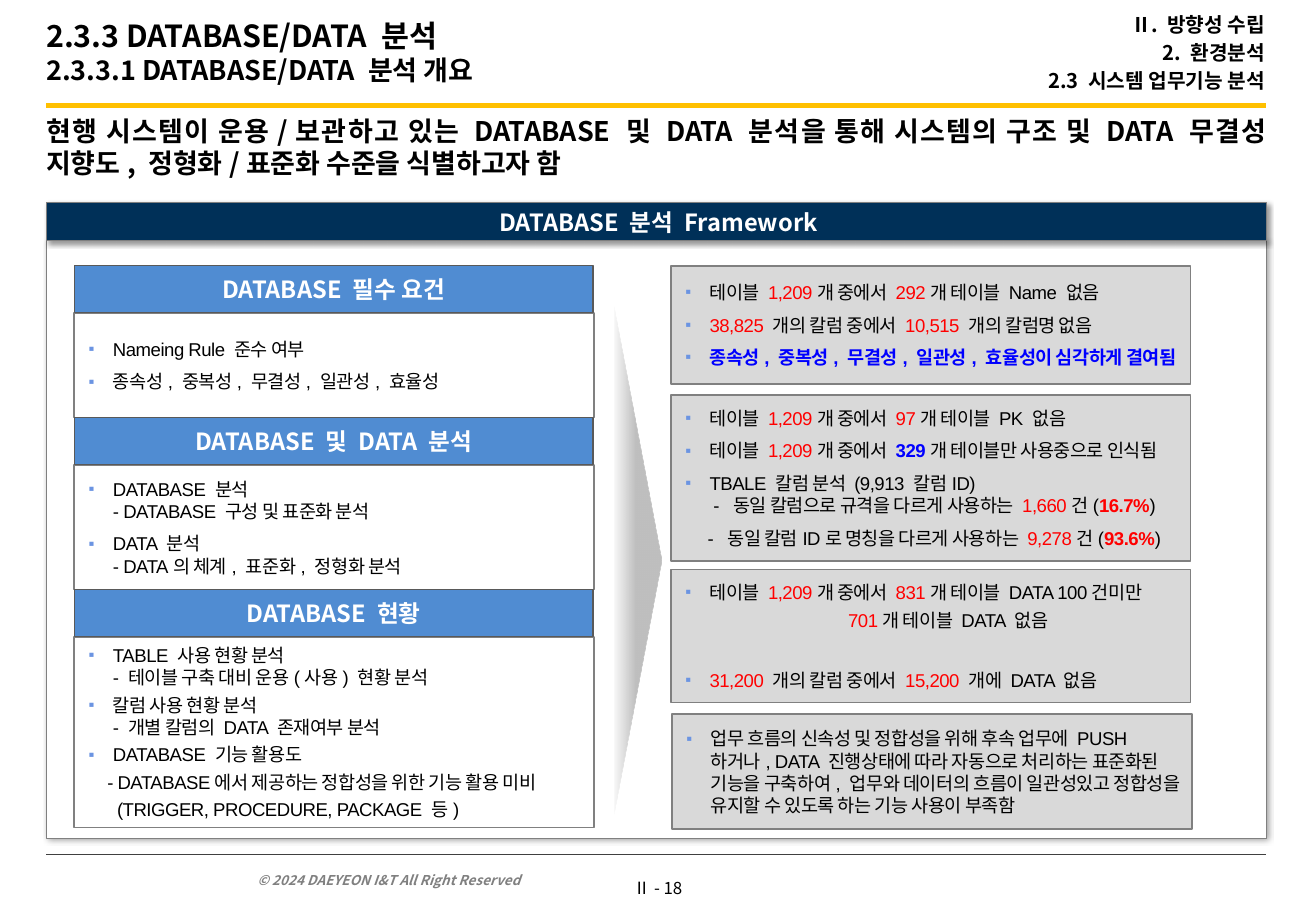
from dataclasses import dataclass
from typing import NamedTuple

from lxml.etree import SubElement
from pptx import Presentation
from pptx.dml.color import RGBColor as RGB
from pptx.enum.shapes import MSO_CONNECTOR as Conn, MSO_SHAPE as Shape
from pptx.enum.text import MSO_ANCHOR as Anchor, PP_ALIGN as Align
from pptx.oxml import parse_xml
from pptx.oxml.ns import nsdecls, qn
from pptx.util import Pt


@dataclass(frozen=True)
class Theme:
    black: str = "000000"
    white: str = "FFFFFF"
    navy: str = "003058"
    blue: str = "508CD2"
    bullet: str = "6B94E2"
    panel: str = "D9D9D9"
    arrow: str = "BFBFBF"
    gray: str = "808080"
    dark: str = "595959"
    rule: str = "FFC000"
    foot_rule: str = "404040"
    red: str = "FF0000"
    strong: str = "0000FF"
    korean: str = "Noto Sans CJK KR"
    latin: str = "Arial"
    title: float = 18
    lead: float = 16
    heading: float = 14
    crumb: float = 12
    body: float = 11
    page: float = 10
    legal: float = 8
    leading: float = 1.2


T = Theme()


class Box(NamedTuple):
    x: float
    y: float
    w: float
    h: float


class Span(NamedTuple):
    text: str
    color: str = T.black
    bold: bool = False
    size: float = T.body
    font: str = T.latin
    italic: bool = False
    spacing: int = -30


class Para(NamedTuple):
    spans: list[Span]
    before: float = 0
    bullet: bool = False
    left: float = 0
    first: float = 0
    align: Align = Align.LEFT


class Section(NamedTuple):
    heading: str
    y: float
    h: float
    paras: list[Para]


class Finding(NamedTuple):
    box: Box
    paras: list[Para]


def red(text: str, bold: bool = False) -> Span:
    return Span(text, T.red, bold)


def item(*spans: Span | str, before: float = 6) -> Para:
    return Para([Span(s) if isinstance(s, str) else s for s in spans], before, True, 14.4, -14.4)


def detail(*spans: Span | str, left: float, before: float = 3, first: float = 0) -> Para:
    return item(*spans, before=before)._replace(bullet=False, left=left, first=first)


def tables(count: Span, rest: str, before: float = 6) -> Para:
    return item("테이블 ", red("1,209"), "개 중에서 ", count, rest, before=before)


def label(text: str, size: float, color: str = T.black, bold: bool = True, italic: bool = False,
          align: Align = Align.LEFT, before: float = 0) -> Para:
    return Para([Span(text, color, bold, size, T.korean, italic, 0)], before, align=align)


def add_span(p, span: Span) -> None:
    for i, line in enumerate(span.text.split("\n")):
        if i:
            p.add_line_break()
        r = p.add_run()
        r.text = line
        fmt = {"size": Pt(span.size), "bold": span.bold, "italic": span.italic, "name": span.font}
        for key, value in fmt.items():
            setattr(r.font, key, value)
        r.font.color.rgb = RGB.from_string(span.color)
        props = r._r.get_or_add_rPr()
        props.set("spc", str(span.spacing))
        SubElement(props, qn("a:ea"), typeface=T.korean)


def write(sp, paras: list[Para], anchor: Anchor, insets: tuple, wrap: bool = True) -> None:
    tf = sp.text_frame
    sides = ("margin_left", "margin_top", "margin_right", "margin_bottom")
    fmt = {"word_wrap": wrap, "vertical_anchor": anchor} | dict(zip(sides, map(Pt, insets)))
    for key, value in fmt.items():
        setattr(tf, key, value)
    for i, para in enumerate(paras):
        p = tf.paragraphs[0] if i == 0 else tf.add_paragraph()
        props = p._p.get_or_add_pPr()
        props.set("marL", str(Pt(para.left)))
        props.set("indent", str(Pt(para.first)))
        if para.bullet:
            SubElement(SubElement(props, qn("a:buClr")), qn("a:srgbClr"), val=T.bullet)
            SubElement(props, qn("a:buSzPct"), val="90000")
            SubElement(props, qn("a:buFont"), typeface=T.latin)
            SubElement(props, qn("a:buChar"), char="▪")
        size = min(s.size for s in para.spans)
        fmt = {"alignment": para.align, "line_spacing": Pt(size * T.leading),
               "space_before": Pt(para.before if i else 0)}
        for key, value in fmt.items():
            setattr(p, key, value)
        for span in para.spans:
            add_span(p, span)


def add_text(s, box: Box, paras: list[Para], anchor: Anchor, insets: tuple, wrap: bool = True) -> None:
    write(s.shapes.add_textbox(*map(Pt, box)), paras, anchor, insets, wrap)


def add_rect(s, box: Box, fill: str, line: str, width: float, paras: list[Para] = (),
             insets: tuple = (8.6, 2.9, 5.8, 2.9), shadow: bool = False) -> None:
    sp = s.shapes.add_shape(Shape.RECTANGLE, *map(Pt, box))
    sp.shadow.inherit = False
    sp.fill.solid()
    sp.fill.fore_color.rgb = RGB.from_string(fill)
    sp.line.color.rgb = RGB.from_string(line)
    sp.line.width = Pt(width)
    if shadow:
        effects = sp._element.spPr.find(qn("a:effectLst"))
        outer = SubElement(effects, qn("a:outerShdw"), blurRad=str(Pt(3)), dist=str(Pt(2)),
                           dir="2700000", algn="tl", rotWithShape="0")
        color = SubElement(outer, qn("a:srgbClr"), val=T.black)
        SubElement(color, qn("a:alpha"), val="40000")
    if paras:
        write(sp, paras, Anchor.MIDDLE, insets)


def add_rule(s, y: float, color: str, width: float) -> None:
    c = s.shapes.add_connector(Conn.STRAIGHT, Pt(27.4), Pt(y), Pt(750.2), Pt(y))
    c.line.color.rgb = RGB.from_string(color)
    c.line.width = Pt(width)
    SubElement(c._element.spPr, qn("a:effectLst"))


def add_arrow(s, box: Box) -> None:
    sp = s.shapes.add_shape(Shape.ISOSCELES_TRIANGLE, *map(Pt, box))
    sp.rotation = 90
    sp.shadow.inherit = False
    sp.line.fill.background()
    stops = "".join(
        f'<a:gs pos="{pos}000"><a:srgbClr val="{T.arrow}"><a:alpha val="{alpha}000"/></a:srgbClr></a:gs>'
        for pos, alpha in ((0, 100), (55, 100), (100, 10)))
    sp._element.spPr.find(qn("a:prstGeom")).addnext(parse_xml(
        f'<a:gradFill {nsdecls("a")} rotWithShape="1"><a:gsLst>{stops}</a:gsLst>'
        '<a:lin ang="5400000" scaled="0"/></a:gradFill>'))


SECTIONS = [
    Section("DATABASE 필수 요건", 157.5, 62, [
        item("Nameing Rule 준수 여부"),
        item("종속성, 중복성, 무결성, 일관성, 효율성")]),
    Section("DATABASE 및 DATA 분석", 247.5, 74, [
        item("DATABASE 분석\n- DATABASE 구성 및 표준화 분석"),
        item("DATA 분석\n- DATA의 체계, 표준화, 정형화 분석")]),
    Section("DATABASE 현황", 349.5, 113, [
        item("TABLE 사용 현황 분석\n- 테이블 구축 대비 운용(사용) 현황 분석", before=3),
        item("칼럼 사용 현황 분석\n- 개별 칼럼의 DATA 존재여부 분석", before=3),
        item("DATABASE 기능 활용도", before=3),
        detail("- DATABASE에서 제공하는 정합성을 위한 기능 활용 미비", left=11),
        detail("(TRIGGER, PROCEDURE, PACKAGE 등)", left=16.8)]),
]
FINDINGS = [
    Finding(Box(397.5, 157.5, 308, 70), [
        tables(red("292"), "개 테이블 Name 없음"),
        item(red("38,825 "), "개의 칼럼 중에서 ", red("10,515 "), "개의 칼럼명 없음"),
        item(Span("종속성, 중복성, 무결성, 일관성, 효율성이 심각하게 결여됨", T.strong, True))]),
    Finding(Box(397.5, 234, 308, 98.5), [
        tables(red("97"), "개 테이블 PK 없음"),
        tables(Span("329", T.strong, True), "개 테이블만 사용중으로 인식됨"),
        item("TBALE 칼럼 분석 (9,913 칼럼ID)"),
        detail("-\t동일 칼럼으로 규격을 다르게 사용하는 ", red("1,660"), "건(", red("16.7%", True), ")",
               left=28.4, first=-11.8, before=0),
        detail("-\t동일 칼럼ID로 명칭을 다르게 사용하는 ", red("9,278"), "건(", red("93.6%", True), ")",
               left=25, first=-11.8, before=6)]),
    Finding(Box(397.5, 337.5, 308, 79), [
        tables(red("831"), "개 테이블 DATA 100건미만", before=3),
        detail(red("701"), "개 테이블 DATA 없음", left=96.5),
        item(red("31,200 "), "개의 칼럼 중에서 ", red("15,200 "), "개에 DATA 없음", before=22.4)]),
    Finding(Box(398.2, 423.4, 308, 68.2), [
        item("업무 흐름의 신속성 및 정합성을 위해 후속 업무에 PUSH하거나, DATA 진행상태에 따라 자동으로 "
             "처리하는 표준화된 기능을 구축하여, 업무와 데이터의 흐름이 일관성있고 정합성을 유지할 수 "
             "있도록 하는 기능 사용이 부족함", before=3)]),
]
CRUMBS = ["Ⅱ. 방향성 수립", "2. 환경분석", "2.3 시스템 업무기능 분석"]


def main() -> None:
    prs = Presentation()
    prs.slide_width, prs.slide_height = Pt(779.8), Pt(540)
    s = prs.slides.add_slide(prs.slide_layouts[6])

    # Rules and footer
    add_rule(s, 62.6, T.rule, 2.5)
    add_rule(s, 506.2, T.foot_rule, 0.5)
    legal = label("© 2024 DAEYEON I&T All Right Reserved", T.legal, T.gray, italic=True)
    add_text(s, Box(145.4, 510.5, 217.4, 19.4), [legal], Anchor.BOTTOM, (7.2, 3.6, 7.2, 3.6))
    page = label("Ⅱ - 18", T.page, bold=False, align=Align.CENTER)
    add_text(s, Box(368.6, 517, 42.5, 19.4), [page], Anchor.TOP, (4.3, 3.6, 4.3, 3.6), wrap=False)

    # Lead message, breadcrumb and title
    lead = label("현행 시스템이 운용/보관하고 있는 DATABASE 및 DATA 분석을 통해 시스템의 구조 및 DATA 무결성 "
                 "지향도, 정형화/표준화 수준을 식별하고자 함", T.lead, align=Align.JUSTIFY)
    add_text(s, Box(27.4, 67.7, 722.9, 49), [lead], Anchor.TOP, (0, 0, 0, 0))
    crumbs = [label(c, T.crumb, align=Align.RIGHT, before=2.4) for c in CRUMBS]
    add_text(s, Box(494.6, 0, 255, 62), crumbs, Anchor.MIDDLE, (0, 3.6, 0, 3.6))
    titles = [label("2.3.3 DATABASE/DATA 분석", T.title),
              label("2.3.3.1 DATABASE/DATA 분석 개요", T.lead)]
    add_text(s, Box(27.4, 0, 374.4, 61.2), titles, Anchor.MIDDLE, (0, 3.6, 7.2, 3.6))

    # Framework frame and banner
    add_rect(s, Box(27.4, 142.6, 722.9, 354.2), T.white, T.gray, 0.5, shadow=True)
    banner = label("DATABASE 분석 Framework", T.heading, T.white, align=Align.CENTER)
    add_rect(s, Box(27.4, 120.2, 722.9, 22.4), T.navy, T.gray, 0.5, [banner], shadow=True)

    # Analysis sections on the left
    for sec in SECTIONS:
        add_rect(s, Box(44, sec.y + 28, 308, sec.h), T.white, T.gray, 1, sec.paras)
        head = label(sec.heading, T.heading, T.white, align=Align.CENTER)
        add_rect(s, Box(44, sec.y, 307.5, 28), T.blue, T.dark, 0.75, [head], (5.8, 2.9, 5.8, 2.9))

    # Findings on the right, with the arrow leading to them
    for finding in FINDINGS:
        add_rect(s, finding.box, T.panel, T.gray, 1, finding.paras)
    add_arrow(s, Box(227.5, 318.2, 301, 28.1))

    prs.save("out.pptx")


if __name__ == "__main__":
    main()
